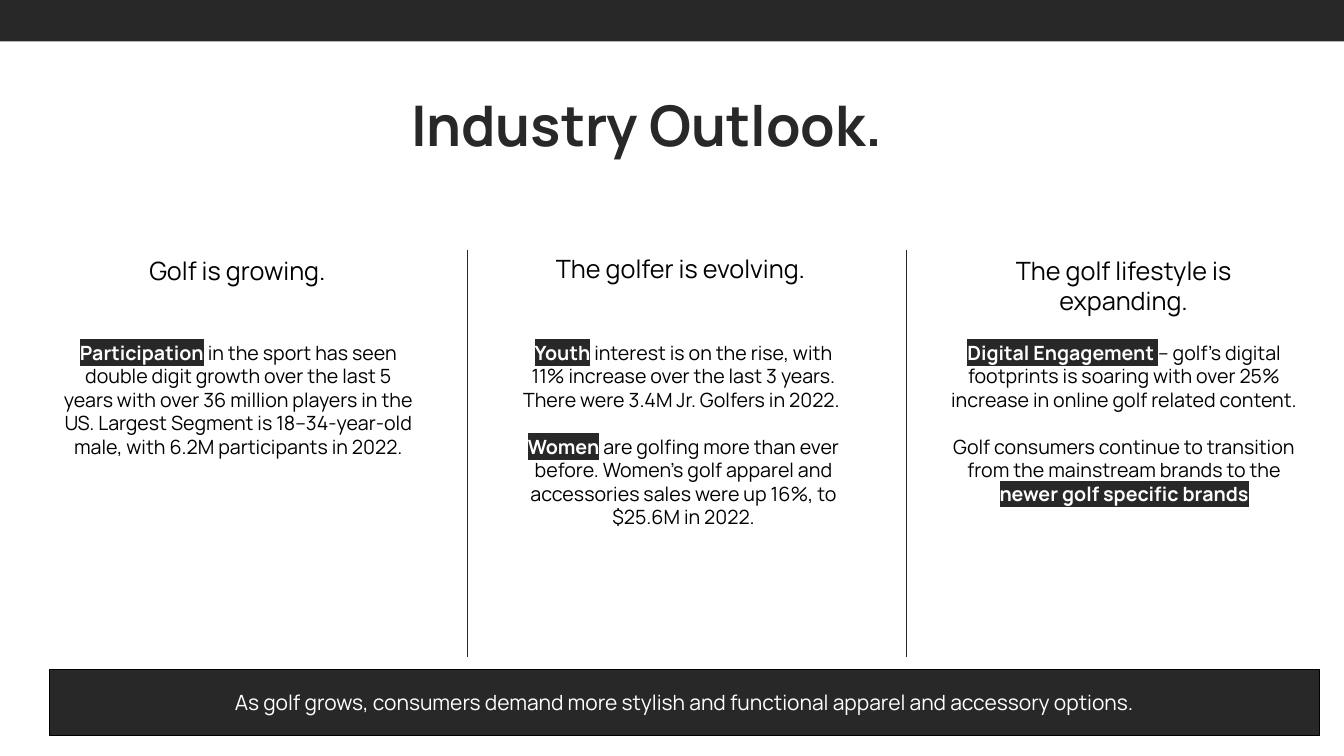
import pptx
import pptx.util
import pptx.dml.color
import pptx.enum.shapes
import pptx.enum.text
import pptx.oxml
import pptx.oxml.ns

Inches = pptx.util.Inches
Pt = pptx.util.Pt
FONT = "Manrope"
DARK, BLACK, WHITE = "282828", "000000", "FFFFFF"
RULE_TOP, RULE_BOTTOM = 2.48, 6.52
BODY_TOP = 3.33

COLUMNS = [
    {
        "heading": ("Golf is growing.", (1.1, 2.48, 2.51, 0.4)),
        "body_box": (0.49, BODY_TOP, 3.75, 2.22),
        "body": [
            [("Participation", True),
             (" in the sport has seen double digit growth over the last 5 years "
              "with over 36 million players in the US. Largest Segment is "
              "18–34-year-old male, with 6.2M participants in 2022.", False)],
        ],
    },
    {
        "heading": ("The golfer is evolving. ", (5.32, 2.46, 2.91, 0.4)),
        "body_box": (5.07, BODY_TOP, 3.42, 2.69),
        "body": [
            [("Youth", True),
             (" interest is on the rise, with 11% increase over the last 3 years. "
              "There were 3.4M Jr. Golfers in 2022. ", False)],
            [("Women", True),
             (" are golfing more than ever before. Women’s golf apparel and "
              "accessories sales were up 16%, to $25.6M in 2022.", False)],
        ],
    },
    {
        "heading": ("The golf lifestyle is expanding.", (9.83, 2.48, 2.63, 0.71)),
        "body_box": (9.33, BODY_TOP, 3.64, 2.69),
        "body": [
            [("Digital Engagement ", True),
             ("– golf’s digital footprints is soaring with over 25% increase in "
              "online golf related content.", False)],
            [("Golf consumers continue to transition from the mainstream brands "
              "to the ", False),
             ("newer golf specific brands", True)],
        ],
    },
]


def color(value):
    return pptx.dml.color.RGBColor.from_string(value)


def lengths(box):
    return [Inches(value) for value in box]


def format_paragraph(para, size, ink=None, bold=None):
    para.alignment = pptx.enum.text.PP_ALIGN.CENTER
    para.font.name = FONT
    para.font.size = Pt(size)
    para.font.bold = bold
    if ink:
        para.font.color.rgb = color(ink)


def highlight(span, value):
    properties = span.font._element
    marker = pptx.oxml.parse_xml(
        f'<a:highlight {pptx.oxml.ns.nsdecls("a")}><a:srgbClr val="{value}"/></a:highlight>')
    properties.append(marker)


def add_bar(page, box, line=None):
    bar = page.shapes.add_shape(pptx.enum.shapes.MSO_SHAPE.RECTANGLE, *lengths(box))
    bar.shadow.inherit = False
    bar.fill.solid()
    bar.fill.fore_color.rgb = color(DARK)
    if line:
        bar.line.color.rgb = color(line)
        bar.line.width = Pt(1)
    else:
        bar.line.fill.background()
    return bar


def add_title(page, box, text):
    title = page.shapes.title
    title.left, title.top, title.width, title.height = lengths(box)
    frame = title.text_frame
    frame.text = text
    frame.auto_size = pptx.enum.text.MSO_AUTO_SIZE.SHAPE_TO_FIT_TEXT
    format_paragraph(frame.paragraphs[0], 40, DARK, True)


def add_text_box(page, box):
    frame = page.shapes.add_textbox(*lengths(box)).text_frame
    frame.word_wrap = True
    frame.auto_size = pptx.enum.text.MSO_AUTO_SIZE.SHAPE_TO_FIT_TEXT
    return frame


def add_column(page, column):
    text, heading_box = column["heading"]
    frame = add_text_box(page, heading_box)
    frame.text = text
    format_paragraph(frame.paragraphs[0], 18, BLACK)

    frame = add_text_box(page, column["body_box"])
    for index, pieces in enumerate(column["body"]):
        para = frame.add_paragraph() if index else frame.paragraphs[0]
        format_paragraph(para, 14)
        if index:
            para.space_before = Pt(16.8)
        for text, marked in pieces:
            span = para.add_run()
            span.text = text
            span.font.bold = marked
            span.font.color.rgb = color(WHITE if marked else BLACK)
            if marked:
                highlight(span, DARK)


def add_rule(page, left):
    rule = page.shapes.add_connector(
        pptx.enum.shapes.MSO_CONNECTOR.STRAIGHT,
        *lengths((left, RULE_TOP, left, RULE_BOTTOM)))
    rule.line.color.rgb = color(DARK)
    rule.line.width = Pt(0.5)
    rule._element.spPr.append(
        pptx.oxml.parse_xml(f'<a:effectLst {pptx.oxml.ns.nsdecls("a")}/>'))


def add_takeaway(page, box, text):
    frame = add_bar(page, box, BLACK).text_frame
    frame.text = text
    frame.vertical_anchor = pptx.enum.text.MSO_ANCHOR.MIDDLE
    format_paragraph(frame.paragraphs[0], 15, WHITE)


def main():
    deck = pptx.Presentation()
    deck.slide_width, deck.slide_height = Inches(13.33), Inches(7.5)
    page = deck.slides.add_slide(deck.slide_layouts.get_by_name("Title Only"))
    add_bar(page, (0, 0, 13.33, 0.41))
    add_title(page, (0.85, 0.85, 11.13, 0.77), "Industry Outlook.")
    for column in COLUMNS:
        add_column(page, column)
    for left in (4.64, 8.99):
        add_rule(page, left)
    add_takeaway(
        page, (0.49, 6.64, 12.6, 0.66),
        "As golf grows, consumers demand more stylish and functional apparel "
        "and accessory options.")
    deck.save("out.pptx")


if __name__ == "__main__":
    main()
